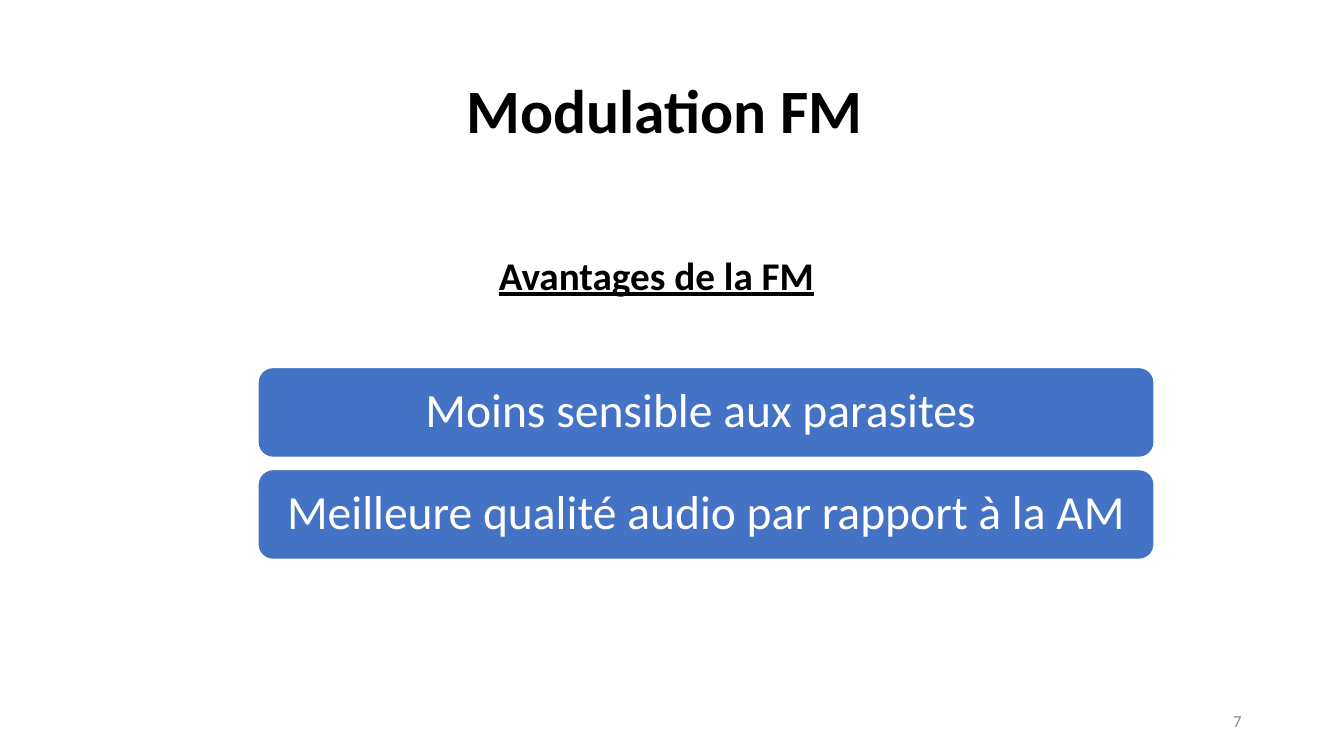
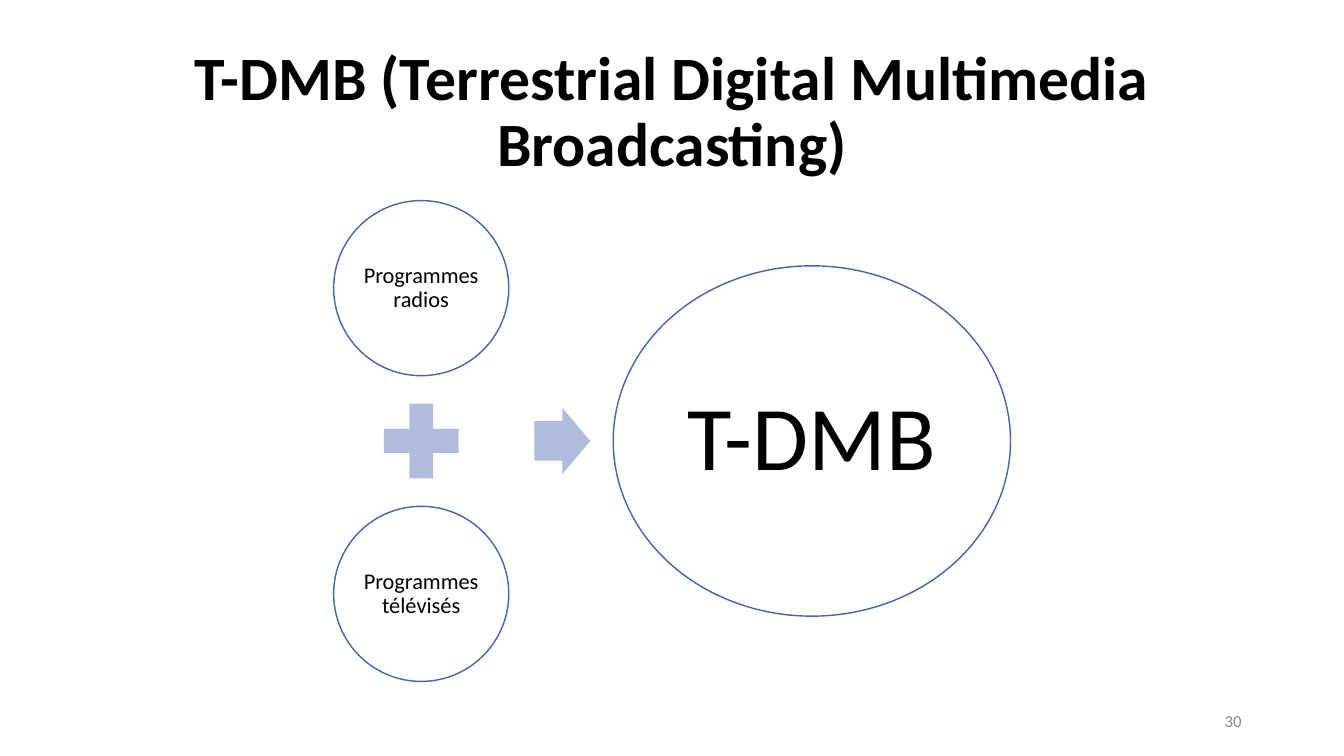
from dataclasses import dataclass

from pptx import Presentation
from pptx.dml.color import RGBColor
from pptx.enum.shapes import MSO_SHAPE as Shape
from pptx.enum.text import MSO_ANCHOR as Anchor, MSO_AUTO_SIZE as AutoSize, PP_ALIGN as Align
from pptx.util import Inches, Pt


@dataclass(frozen=True)
class Theme:
    """Colours, type sizes and grid shared by all slides."""

    font: str = "Calibri"
    black: str = "000000"
    white: str = "FFFFFF"
    blue: str = "4472C4"
    outline: str = "3D67B1"
    pale: str = "B0BCDE"
    grey: str = "898989"
    title: int = 44
    heading: int = 28
    bar: int = 34
    result: int = 65
    label: int = 16
    page: int = 12
    columns: int = 32
    rows: int = 18


def write(tf, text, font, size, color, align=Align.CENTER, anchor=Anchor.MIDDLE,
          bold=False, underline=False, spacing=None, wrap=True, inset=None):
    """Put one formatted paragraph into a text frame."""
    tf.auto_size = AutoSize.NONE
    tf.word_wrap = wrap
    tf.vertical_anchor = anchor
    if inset is not None:
        tf.margin_left = tf.margin_right = tf.margin_top = tf.margin_bottom = inset
    p = tf.paragraphs[0]
    p.alignment = align
    p.line_spacing = spacing
    r = p.add_run()
    r.text = text
    r.font.name, r.font.size = font, Pt(size)
    r.font.bold, r.font.underline = bold, underline
    r.font.color.rgb = RGBColor.from_string(color)


class Deck:
    """Builds slides on a grid of square cells."""

    def __init__(self, theme):
        """Start an empty widescreen presentation."""
        self.theme = theme
        self.prs = Presentation()
        self.prs.slide_width, self.prs.slide_height = Inches(13.33), Inches(7.5)
        self.s = None

    def cells(self, x, y, w, h):
        """Turn columns and rows into slide lengths."""
        col = self.prs.slide_width / self.theme.columns
        row = self.prs.slide_height / self.theme.rows
        return round(x * col), round(y * row), round(w * col), round(h * row)

    def slide(self, title, number):
        """Add a slide with its title and page number."""
        t = self.theme
        self.s = self.prs.slides.add_slide(self.prs.slide_layouts[5])
        sp = self.s.shapes.title
        sp.left, sp.top, sp.width, sp.height = self.cells(2.2, 0.96, 27.6, 3.48)
        write(sp.text_frame, title, t.font, t.title, t.black, bold=True, spacing=0.9)
        self.text(number, 22.6, 16.68, 7.2, 0.96, size=t.page, color=t.grey, align=Align.RIGHT)

    def text(self, text, x, y, w, h, size, color, **style):
        """Add a text box."""
        sp = self.s.shapes.add_textbox(*self.cells(x, y, w, h))
        write(sp.text_frame, text, self.theme.font, size, color, **style)

    def shape(self, kind, cx, cy, w, h, fill, line=None, adjust=()):
        """Add a preset shape around a centre point."""
        sp = self.s.shapes.add_shape(kind, *self.cells(cx - w / 2, cy - h / 2, w, h))
        sp.shadow.inherit = False
        sp.fill.solid()
        sp.fill.fore_color.rgb = RGBColor.from_string(fill)
        if line:
            sp.line.color.rgb = RGBColor.from_string(line)
            sp.line.width = Pt(1)
        else:
            sp.line.fill.background()
        for i, value in enumerate(adjust):
            sp.adjustments[i] = value
        return sp

    def bar(self, text, cx, cy, w, h):
        """Add a rounded blue bar with white text."""
        t = self.theme
        sp = self.shape(Shape.ROUNDED_RECTANGLE, cx, cy, w, h, t.blue, t.white)
        write(sp.text_frame, text, t.font, t.bar, t.white, spacing=0.9, inset=0)

    def oval(self, text, cx, cy, w, h, size):
        """Add an outlined oval with black text."""
        t = self.theme
        sp = self.shape(Shape.OVAL, cx, cy, w, h, t.white, t.outline)
        write(sp.text_frame, text, t.font, size, t.black, spacing=0.9, inset=0)


def add_advantages(deck):
    """Build the slide on FM advantages."""
    t = deck.theme
    deck.slide("Modulation FM ", "7")
    deck.text("Avantages de la FM", 11.64, 5.86, 8.09, 1.37, size=t.heading, color=t.black,
              align=Align.LEFT, anchor=Anchor.TOP, bold=True, underline=True, wrap=False)
    advantages = ("Moins sensible aux parasites ", "Meilleure qualité audio par rapport à la AM")
    for i, advantage in enumerate(advantages):
        deck.bar(advantage, 16.81, 9.82 + 2.43 * i, 21.34, 2.14)


def add_equation(deck):
    """Build the slide that sums programmes into T-DMB."""
    t = deck.theme
    deck.slide("T-DMB (Terrestrial Digital Multimedia Broadcasting)", "30")
    axis, source_x, offset = 10.5, 10.03, 3.64
    for side, source in ((-1, "Programmes radios"), (1, "Programmes télévisés")):
        deck.oval(source, source_x, axis + side * offset, 4.17, 4.17, t.label)
    deck.shape(Shape.CROSS, source_x, axis, 1.78, 1.78, t.pale, adjust=(0.34,))
    deck.shape(Shape.RIGHT_ARROW, 13.39, axis, 1.33, 1.57, t.pale, adjust=(0.6, 0.5))
    deck.oval("T-DMB", 19.33, axis, 9.46, 8.34, t.result)


def main():
    """Build and save the presentation."""
    deck = Deck(Theme())
    add_advantages(deck)
    add_equation(deck)
    deck.prs.save("out.pptx")


if __name__ == "__main__":
    main()
